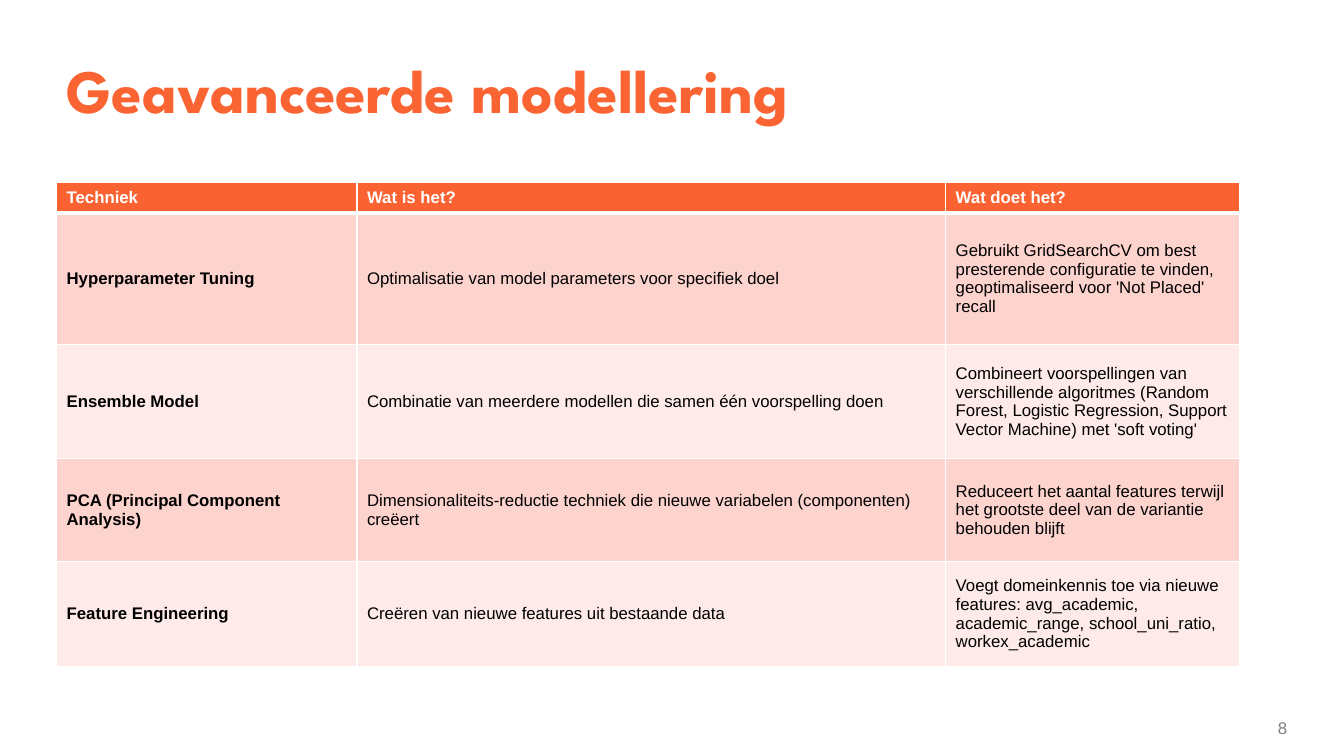
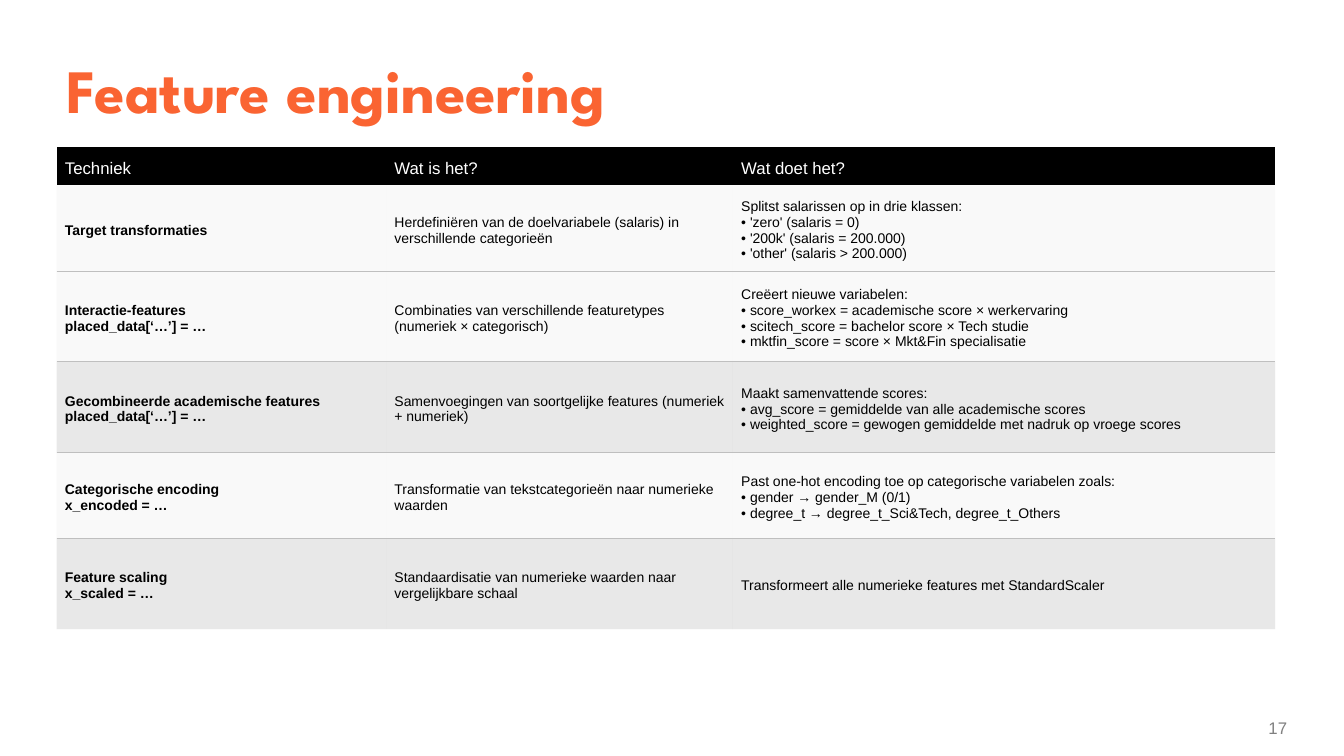
from dataclasses import dataclass

from lxml.etree import SubElement
from pptx import Presentation
from pptx.dml.color import RGBColor
from pptx.enum.text import MSO_ANCHOR as Anchor, MSO_AUTO_SIZE as AutoSize, PP_ALIGN as Align
from pptx.oxml.ns import qn
from pptx.util import Pt

ORANGE = RGBColor(0xFA, 0x64, 0x32)
HEADER_ORANGE = RGBColor(0xFA, 0x62, 0x32)
PINK = RGBColor(0xFD, 0xD3, 0xCE)
PALE_PINK = RGBColor(0xFE, 0xEA, 0xE8)
BLACK = RGBColor(0, 0, 0)
WHITE = RGBColor(0xFF, 0xFF, 0xFF)
PALE_GREY = RGBColor(0xF2, 0xF2, 0xF2)
GREY = RGBColor(0xBF, 0xBF, 0xBF)
NUMBER_GREY = RGBColor(0x80, 0x80, 0x80)

TITLE_FONT = "League Spartan"
BODY_FONT = "Arial"
HEADER_SIZE = 12
LEFT = 40.4
BULLET = "• "
PLAIN_TABLE = "{2D5ABB26-0587-4C30-8999-92F81FD0307C}"
HEADINGS = ("Techniek", "Wat is het?", "Wat doet het?")


@dataclass
class Band:
    """Look of a table row: fill, opacity in percent and width of the rule below."""
    height: float
    fill: RGBColor
    opacity: int = 100
    rule: float = 0


@dataclass
class Grid:
    """A table with its headings, rows and style."""
    top: float
    columns: tuple[float, ...]
    bands: list[Band]
    texts: list[tuple[str, str, str]]
    margins: tuple[float, float, float, float]
    size: float
    header_bold: bool
    rule_color: RGBColor
    side_rule: float = 0


@dataclass
class Topic:
    """One page: number, title and table."""
    number: int
    title: str
    grid: Grid


def style_font(para, name: str, size: float, color: RGBColor, bold: bool = False) -> None:
    """Set the font of a whole paragraph."""
    para.font.name = name
    para.font.size = Pt(size)
    para.font.bold = bold
    para.font.color.rgb = color


def set_margins(target, margins: tuple[float, float, float, float]) -> None:
    """Set left, top, right and bottom margins in points."""
    target.margin_left, target.margin_top, target.margin_right, target.margin_bottom = map(Pt, margins)


def add_edge(cell, side: str, width: float, color: RGBColor) -> None:
    """Draw one cell border when it has a width."""
    if width:
        line = SubElement(cell._tc.get_or_add_tcPr(), qn(f"a:ln{side}"), w=str(Pt(width)))
        SubElement(SubElement(line, qn("a:solidFill")), qn("a:srgbClr"), val=str(color))


def fill_cell(cell, band: Band) -> None:
    """Fill a cell with its row's colour and opacity."""
    cell.fill.solid()
    cell.fill.fore_color.rgb = band.fill
    if band.opacity < 100:
        color = cell._tc.tcPr.find(f"{qn('a:solidFill')}/{qn('a:srgbClr')}")
        SubElement(color, qn("a:alpha"), val=str(band.opacity * 1000))


def write_cell(cell, text: str, size: float, color: RGBColor, bold: bool) -> None:
    """Write each line as a paragraph, with real bullets where marked."""
    frame = cell.text_frame
    for index, line in enumerate(text.split("\n")):
        para = frame.add_paragraph() if index else frame.paragraphs[0]
        para.text = line.removeprefix(BULLET)
        if line.startswith(BULLET):
            props = para._p.get_or_add_pPr()
            indent = Pt(size * 0.63)
            props.set("marL", str(indent))
            props.set("indent", str(-indent))
            SubElement(props, qn("a:buFont"), typeface=BODY_FONT)
            SubElement(props, qn("a:buChar"), char=BULLET.strip())
        style_font(para, BODY_FONT, size, color, bold)


def add_grid(page, grid: Grid) -> None:
    """Add the table to a page."""
    height = sum(band.height for band in grid.bands)
    table = page.shapes.add_table(
        len(grid.bands), len(grid.columns), Pt(LEFT), Pt(grid.top), Pt(sum(grid.columns)), Pt(height)
    ).table
    table.horz_banding = False
    table._tbl.tblPr.find(qn("a:tableStyleId")).text = PLAIN_TABLE
    for column, width in zip(table.columns, grid.columns):
        column.width = Pt(width)
    rule_above = grid.side_rule
    for row_index, (band, texts) in enumerate(zip(grid.bands, [HEADINGS, *grid.texts])):
        table.rows[row_index].height = Pt(band.height)
        header = row_index == 0
        for column_index, text in enumerate(texts):
            cell = table.cell(row_index, column_index)
            cell.vertical_anchor = Anchor.MIDDLE
            set_margins(cell, grid.margins)
            edges = {"L": grid.side_rule, "R": grid.side_rule, "T": rule_above, "B": band.rule}
            for side, width in edges.items():
                add_edge(cell, side, width, grid.rule_color)
            fill_cell(cell, band)
            write_cell(
                cell, text,
                HEADER_SIZE if header else grid.size,
                WHITE if header else BLACK,
                grid.header_bold if header else column_index == 0,
            )
        rule_above = band.rule


def add_title(page, text: str) -> None:
    """Place and format the page title."""
    title = page.shapes.title
    title.left, title.top, title.width, title.height = Pt(LEFT), Pt(23.8), Pt(878.4), Pt(87.8)
    frame = title.text_frame
    frame.auto_size = AutoSize.NONE
    frame.word_wrap = True
    frame.vertical_anchor = Anchor.MIDDLE
    set_margins(frame, (7.2, 3.6, 7.2, 3.6))
    para = frame.paragraphs[0]
    para.text = text
    para.alignment = Align.LEFT
    para.line_spacing = 0.85
    style_font(para, TITLE_FONT, 44, ORANGE, True)


def add_number(page, number: int) -> None:
    """Add the page number at the lower right."""
    frame = page.shapes.add_textbox(Pt(871.2), Pt(509), Pt(48.2), Pt(21.6)).text_frame
    frame.word_wrap = True
    frame.vertical_anchor = Anchor.MIDDLE
    set_margins(frame, (7.2, 3.6, 0, 3.6))
    para = frame.paragraphs[0]
    para.text = str(number)
    para.alignment = Align.RIGHT
    para.space_after = Pt(6)
    style_font(para, BODY_FONT, 12, NUMBER_GREY)


MODELLING = Grid(
    top=130.3,
    columns=(214.6, 420.5, 210.2),
    bands=[
        Band(20.2, HEADER_ORANGE, rule=3),
        Band(94.3, PINK, rule=1),
        Band(81.4, PALE_PINK, rule=1),
        Band(73.4, PINK, rule=1),
        Band(74.9, PALE_PINK, rule=1),
    ],
    texts=[
        ("Hyperparameter Tuning",
         "Optimalisatie van model parameters voor specifiek doel",
         "Gebruikt GridSearchCV om best presterende configuratie te vinden, "
         "geoptimaliseerd voor 'Not Placed' recall"),
        ("Ensemble Model",
         "Combinatie van meerdere modellen die samen één voorspelling doen",
         "Combineert voorspellingen van verschillende algoritmes (Random Forest, "
         "Logistic Regression, Support Vector Machine) met 'soft voting'"),
        ("PCA (Principal Component Analysis)",
         "Dimensionaliteits-reductie techniek die nieuwe variabelen (componenten) creëert",
         "Reduceert het aantal features terwijl het grootste deel van de variantie behouden blijft"),
        ("Feature Engineering",
         "Creëren van nieuwe features uit bestaande data",
         "Voegt domeinkennis toe via nieuwe features: avg_academic, academic_range, "
         "school_uni_ratio, workex_academic"),
    ],
    margins=(7.2, 3.6, 7.2, 3.6),
    size=12,
    header_bold=True,
    rule_color=WHITE,
    side_rule=1,
)

FEATURES = Grid(
    top=105.1,
    columns=(235.4, 247.7, 387.4),
    bands=[
        Band(27.4, BLACK),
        Band(61.2, PALE_GREY, 45, 1),
        Band(64.8, PALE_GREY, 45, 1),
        Band(64.8, GREY, 35),
        Band(61.2, PALE_GREY, 45, 1),
        Band(64.8, GREY, 35),
    ],
    texts=[
        ("Target transformaties",
         "Herdefiniëren van de doelvariabele (salaris) in verschillende categorieën",
         "Splitst salarissen op in drie klassen:\n• 'zero' (salaris = 0)\n"
         "• '200k' (salaris = 200.000)\n• 'other' (salaris > 200.000)"),
        ("Interactie-features\vplaced_data[‘…’] = …",
         "Combinaties van verschillende featuretypes (numeriek × categorisch)",
         "Creëert nieuwe variabelen:\n• score_workex = academische score × werkervaring\n"
         "• scitech_score = bachelor score × Tech studie\n"
         "• mktfin_score = score × Mkt&Fin specialisatie"),
        ("Gecombineerde academische features\vplaced_data[‘…’] = …",
         "Samenvoegingen van soortgelijke features (numeriek + numeriek)",
         "Maakt samenvattende scores:\n• avg_score = gemiddelde van alle academische scores\n"
         "• weighted_score = gewogen gemiddelde met nadruk op vroege scores"),
        ("Categorische encoding\vx_encoded = …",
         "Transformatie van tekstcategorieën naar numerieke waarden",
         "Past one-hot encoding toe op categorische variabelen zoals:\n"
         "• gender → gender_M (0/1)\n• degree_t → degree_t_Sci&Tech, degree_t_Others"),
        ("Feature scaling\vx_scaled = …",
         "Standaardisatie van numerieke waarden naar vergelijkbare schaal",
         "Transformeert alle numerieke features met StandardScaler"),
    ],
    margins=(6, 6, 6, 3),
    size=10,
    header_bold=False,
    rule_color=GREY,
)

TOPICS = [
    Topic(8, "Geavanceerde modellering", MODELLING),
    Topic(17, "Feature engineering", FEATURES),
]


def main() -> None:
    """Build and save the deck."""
    deck = Presentation()
    deck.slide_width, deck.slide_height = Pt(960), Pt(540)
    for topic in TOPICS:
        page = deck.slides.add_slide(deck.slide_layouts[5])
        add_number(page, topic.number)
        add_title(page, topic.title)
        add_grid(page, topic.grid)
    deck.save("out.pptx")


if __name__ == "__main__":
    main()
